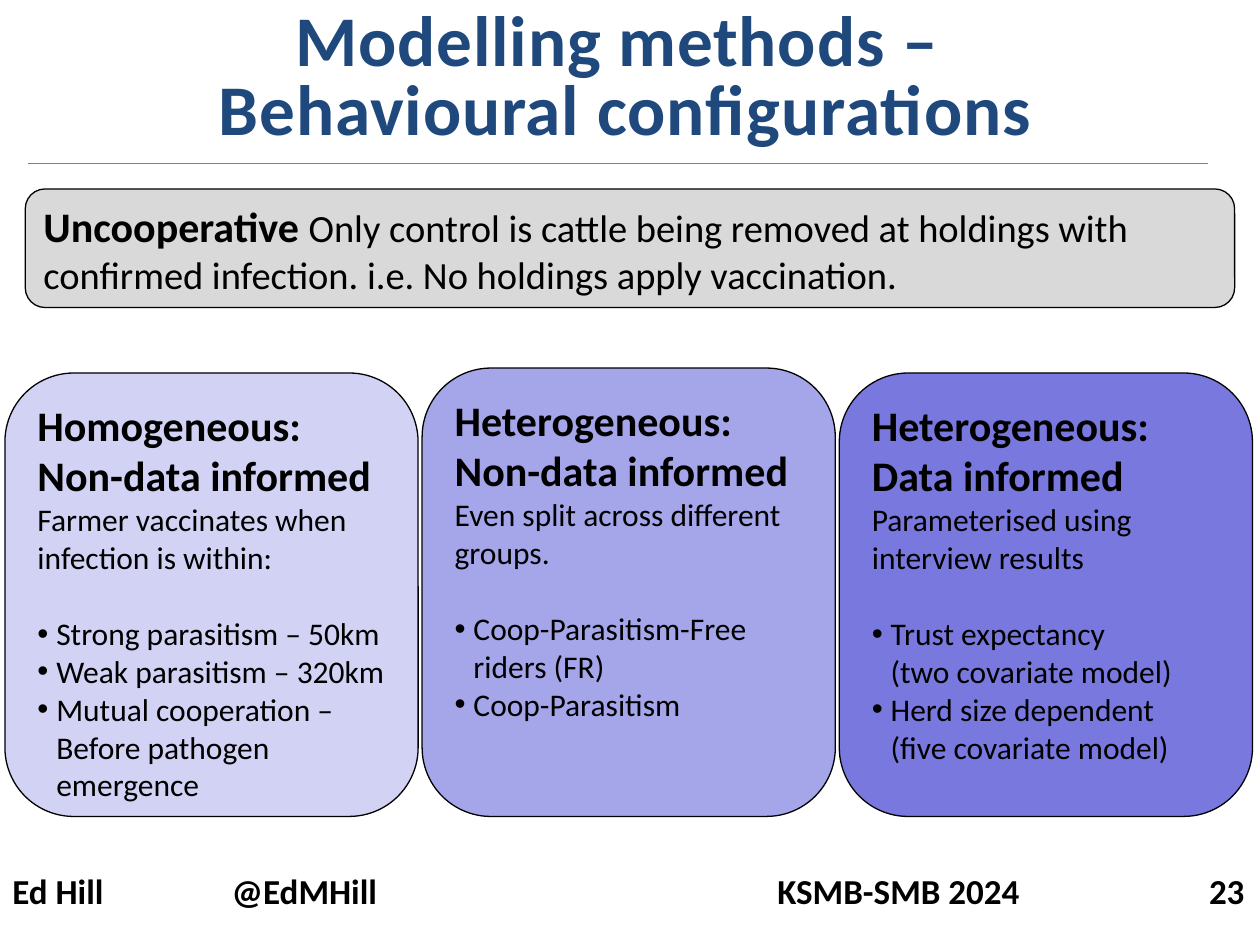
from lxml.etree import SubElement
from pptx import Presentation
from pptx.dml.color import RGBColor
from pptx.enum.shapes import MSO_CONNECTOR, MSO_SHAPE
from pptx.enum.text import MSO_ANCHOR, MSO_AUTO_SIZE, PP_ALIGN
from pptx.oxml.ns import qn
from pptx.util import Cm, Pt

# Content
TITLE = ["Modelling methods – ", "Behavioural configurations"]
BASELINE = [
    ("Uncooperative ", 24, True),
    ("Only control is cattle being removed at holdings with confirmed infection. "
     "i.e. No holdings apply vaccination.", 22, False),
]
FOOTER = "Ed Hill\t@EdMHill\tKSMB-SMB 2024\t23"
FOOTER_TABS = [(4.42, "l"), (15.42, "l"), (24.84, "r")]

BLACK = RGBColor(0x00, 0x00, 0x00)
NAVY = RGBColor(0x1F, 0x49, 0x7D)
GREY = RGBColor(0x80, 0x80, 0x80)
LIGHT_GREY = RGBColor(0xD9, 0xD9, 0xD9)
PALE_VIOLET = RGBColor(0xD2, 0xD2, 0xF4)
MID_VIOLET = RGBColor(0xA5, 0xA5, 0xE9)
DEEP_VIOLET = RGBColor(0x78, 0x78, 0xDE)

# Fill, top in cm, heading, description, bullets ("\v" is a line break)
CARDS = [
    (PALE_VIOLET, 7.52, "Homogeneous: Non-data informed",
     "Farmer vaccinates when infection is within:",
     ["Strong parasitism – 50km", "Weak parasitism – 320km",
      "Mutual cooperation – Before pathogen emergence"]),
    (MID_VIOLET, 7.42, "Heterogeneous: Non-data informed",
     "Even split across different groups.",
     ["Coop-Parasitism-Free riders (FR)", "Coop-Parasitism"]),
    (DEEP_VIOLET, 7.52, "Heterogeneous: Data informed",
     "Parameterised using interview results",
     ["Trust expectancy\v(two covariate model)",
      "Herd size dependent\v(five covariate model)"]),
]
CARD_LEFT, CARD_STEP, CARD_WIDTH, CARD_BOTTOM = 0.1, 8.41, 8.33, 16.46


def format_runs(paragraph, size, bold, color=BLACK):
    for run in paragraph.runs:
        run.font.name = "Calibri"
        run.font.size = Pt(size)
        run.font.bold = bold
        run.font.color.rgb = color


def add_panel(slide, left, top, width, height, fill):
    shape = slide.shapes.add_shape(
        MSO_SHAPE.ROUNDED_RECTANGLE, Cm(left), Cm(top), Cm(width), Cm(height))
    shape.shadow.inherit = False
    shape.fill.solid()
    shape.fill.fore_color.rgb = fill
    shape.line.color.rgb = BLACK
    shape.line.width = Pt(0.75)
    frame = shape.text_frame
    frame.word_wrap = True
    frame.vertical_anchor = MSO_ANCHOR.TOP
    frame.paragraphs[0].alignment = PP_ALIGN.LEFT
    return frame


def add_bullet(paragraph):
    properties = paragraph._p.get_or_add_pPr()
    properties.set("marL", str(Cm(0.38)))
    properties.set("indent", str(-Cm(0.38)))
    SubElement(properties, qn("a:buFont"), typeface="Arial")
    SubElement(properties, qn("a:buChar"), char="•")


def add_title(slide):
    title = slide.shapes.title
    title.left, title.top, title.width, title.height = Cm(-0.18), Cm(0.03), Cm(25.58), Cm(3.18)
    frame = title.text_frame
    frame.text = "\n".join(TITLE)
    frame.auto_size = MSO_AUTO_SIZE.NONE
    frame.vertical_anchor = MSO_ANCHOR.MIDDLE
    for paragraph in frame.paragraphs:
        paragraph.alignment = PP_ALIGN.CENTER
        paragraph.line_spacing = 0.8
        format_runs(paragraph, 40.7, True, NAVY)
        for run in paragraph.runs:
            run.font._element.set("spc", "50")


def add_rule(slide):
    rule = slide.shapes.add_connector(
        MSO_CONNECTOR.STRAIGHT, Cm(0.56), Cm(3.3), Cm(24.36), Cm(3.3))
    rule.line.color.rgb = GREY
    rule.line.width = Pt(0.75)
    SubElement(rule._element.spPr, qn("a:effectLst"))


def add_card(slide, index, fill, top, heading, description, bullets):
    frame = add_panel(slide, CARD_LEFT + index * CARD_STEP, top,
                      CARD_WIDTH, CARD_BOTTOM - top, fill)
    frame.text = heading
    format_runs(frame.paragraphs[0], 24, True)
    for position, text in enumerate([description] + bullets):
        paragraph = frame.add_paragraph()
        paragraph.text = text
        paragraph.alignment = PP_ALIGN.LEFT
        if position:
            add_bullet(paragraph)
        if position == 1:
            paragraph.space_before = Pt(22)
        format_runs(paragraph, 18, False)


def add_baseline(slide):
    paragraph = add_panel(slide, 0.51, 3.81, 24.38, 2.39, LIGHT_GREY).paragraphs[0]
    for text, size, bold in BASELINE:
        run = paragraph.add_run()
        run.text = text
        run.font.name = "Calibri"
        run.font.size = Pt(size)
        run.font.bold = bold
        run.font.color.rgb = BLACK


def add_footer(slide):
    frame = slide.shapes.add_textbox(Cm(0), Cm(17.4), Cm(25.4), Cm(1.12)).text_frame
    frame.word_wrap = True
    paragraph = frame.paragraphs[0]
    paragraph.text = FOOTER
    tabs = SubElement(paragraph._p.get_or_add_pPr(), qn("a:tabLst"))
    for position, alignment in FOOTER_TABS:
        SubElement(tabs, qn("a:tab"), pos=str(Cm(position)), algn=alignment)
    format_runs(paragraph, 20, True)


def main():
    presentation = Presentation()
    presentation.slide_width, presentation.slide_height = Cm(25.4), Cm(19.05)
    slide = presentation.slides.add_slide(presentation.slide_layouts[5])
    add_title(slide)
    add_rule(slide)
    for index, card in enumerate(CARDS):
        add_card(slide, index, *card)
    add_baseline(slide)
    add_footer(slide)
    presentation.save("out.pptx")


if __name__ == "__main__":
    main()
